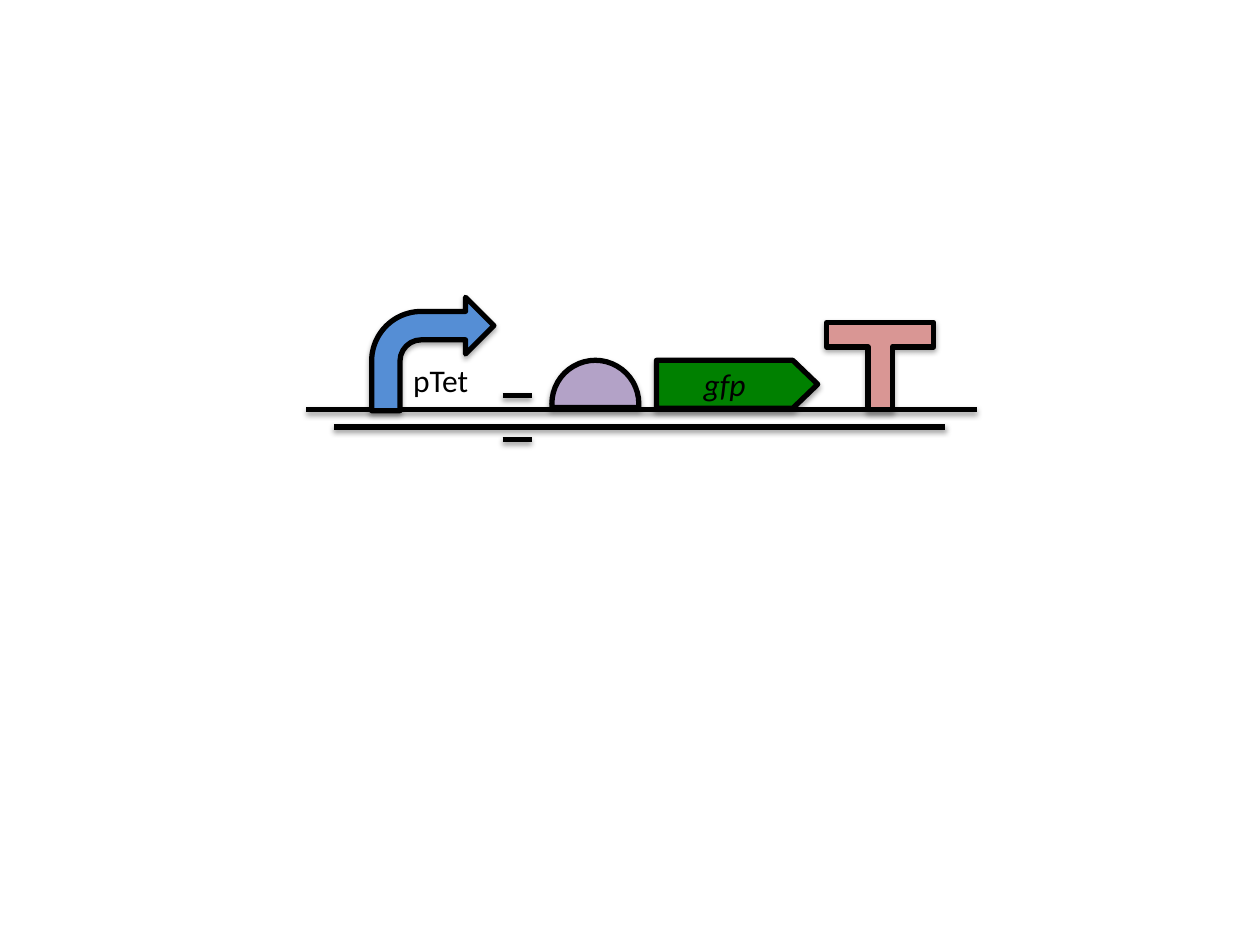
from dataclasses import dataclass

from lxml import etree
from pptx import Presentation
from pptx.dml.color import RGBColor
from pptx.enum.shapes import MSO_CONNECTOR, MSO_SHAPE as Preset
from pptx.enum.text import MSO_ANCHOR, MSO_AUTO_SIZE, PP_ALIGN
from pptx.oxml.ns import qn
from pptx.util import Inches, Pt

BLACK = "000000"
STRAND_Y = 3.25
STRAND_SHADOW = (1.6, 38)
PART_SHADOW = (1.8, 35)


@dataclass
class Part:
    preset: Preset
    left: float
    top: float
    width: float
    height: float
    fill: str
    adjustments: tuple = ()
    rotation: float = 0
    label: str = ""


PARTS = [
    Part(Preset.RIGHT_ARROW, 5.21, 2.86, 1.28, 0.38, "008000",
         (1, 0.52), label="gfp"),
    # The chord's angles are in 1/60000 degree, scaled down by 100000.
    Part(Preset.CHORD, 4.38, 2.86, 0.69, 0.69, "B3A2C7",
         (175 * 0.6, 5 * 0.6)),
    Part(Preset.BENT_ARROW, 2.95, 2.36, 0.97, 0.9, "558ED5"),
    Part(Preset.LEFT_RIGHT_UP_ARROW, 6.56, 2.56, 0.85, 0.69, "D99694",
         (0.5, 0.14, 0), rotation=180),
]


def color(value: str) -> RGBColor:
    return RGBColor.from_string(value)


def outline(item, distance: float, opacity: int) -> None:
    """Give an item its black line and a soft shadow straight below it."""
    item.line.color.rgb = color(BLACK)
    item.line.width = Pt(3)
    effects = etree.SubElement(item._element.spPr, qn("a:effectLst"))
    shadow = etree.SubElement(
        effects, qn("a:outerShdw"), blurRad=str(Pt(3.1)),
        dist=str(Pt(distance)), dir=str(90 * 60000), rotWithShape="0")
    tint = etree.SubElement(shadow, qn("a:srgbClr"), val=BLACK)
    etree.SubElement(tint, qn("a:alpha"), val=str(opacity * 1000))


def add_label(paragraph, text: str, italic: bool = False) -> None:
    run = paragraph.add_run()
    run.text = text
    run.font.name = "Calibri"
    run.font.size = Pt(18)
    run.font.italic = italic
    run.font.color.rgb = color(BLACK)


def draw_strand(shapes, start: float, end: float, y: float) -> None:
    strand = shapes.add_connector(MSO_CONNECTOR.STRAIGHT, Inches(start),
                                  Inches(y), Inches(end), Inches(y))
    outline(strand, *STRAND_SHADOW)


def draw_part(shapes, part: Part) -> None:
    shape = shapes.add_shape(part.preset, Inches(part.left), Inches(part.top),
                             Inches(part.width), Inches(part.height))
    for index, value in enumerate(part.adjustments):
        shape.adjustments[index] = value
    shape.rotation = part.rotation
    shape.fill.solid()
    shape.fill.fore_color.rgb = color(part.fill)
    outline(shape, *PART_SHADOW)
    if part.label:
        frame = shape.text_frame
        frame.vertical_anchor = MSO_ANCHOR.MIDDLE
        frame.paragraphs[0].alignment = PP_ALIGN.CENTER
        add_label(frame.paragraphs[0], part.label, italic=True)


def draw_promoter_name(shapes) -> None:
    promoter = shapes.add_textbox(Inches(3.18), Inches(2.82),
                                  Inches(0.64), Inches(0.4))
    frame = promoter.text_frame
    frame.word_wrap = False
    frame.auto_size = MSO_AUTO_SIZE.SHAPE_TO_FIT_TEXT
    add_label(frame.paragraphs[0], "pTet")


def main() -> None:
    deck = Presentation()
    deck.slide_width, deck.slide_height = Inches(10), Inches(7.5)
    shapes = deck.slides.add_slide(deck.slide_layouts[6]).shapes

    draw_strand(shapes, 2.43, 7.75, STRAND_Y)
    for part in PARTS:
        draw_part(shapes, part)
    draw_promoter_name(shapes)
    draw_strand(shapes, 2.65, 7.5, 3.39)

    operator = shapes.add_group_shape()
    for y in (3.14, 3.49):
        draw_strand(operator.shapes, 3.99, 4.22, y)

    deck.save("out.pptx")


if __name__ == "__main__":
    main()
